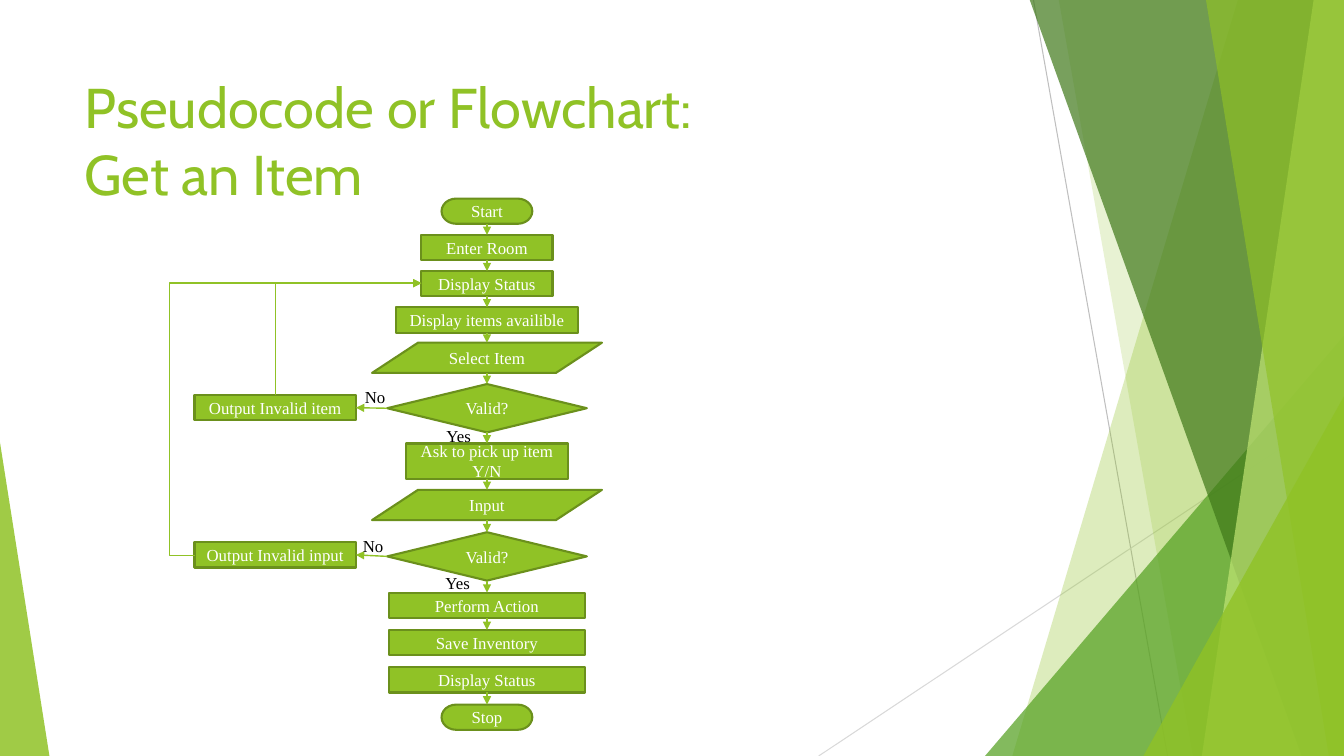
from itertools import pairwise

from lxml import etree
from pptx import Presentation
from pptx.dml.color import RGBColor
from pptx.enum.shapes import MSO_CONNECTOR, MSO_SHAPE
from pptx.enum.text import MSO_ANCHOR, PP_ALIGN
from pptx.oxml.ns import qn
from pptx.util import Inches, Pt

COLOURS = {
    "green": "90C226", "outline": "6B901C", "leaf": "54A021", "forest": "3F7819",
    "lime": "C0E474", "grey": "BFBFBF", "pale grey": "D9D9D9",
    "white": "FFFFFF", "black": "000000",
}
TOP, BOTTOM, RIGHT = -0.01, 7.5, 13.33
AXIS = 4.83  # centre of the main column
PROCESS = MSO_SHAPE.FLOWCHART_PROCESS
DECISION = MSO_SHAPE.FLOWCHART_DECISION
DATA = MSO_SHAPE.FLOWCHART_DATA
TERMINATOR = MSO_SHAPE.FLOWCHART_TERMINATOR

# shape, text, top, width, height
STEPS = [
    (TERMINATOR, "Start", 1.97, 0.9, 0.25),
    (PROCESS, "Enter Room", 2.33, 1.3, 0.25),
    (PROCESS, "Display Status", 2.69, 1.3, 0.25),
    (PROCESS, "Display items availible", 3.05, 1.81, 0.25),
    (DATA, "Select Item", 3.4, 2.28, 0.3),
    (DECISION, "Valid?", 3.81, 1.98, 0.48),
    (PROCESS, "Ask to pick up item Y/N", 4.4, 1.6, 0.35),
    (DATA, "Input", 4.86, 2.28, 0.3),
    (DECISION, "Valid?", 5.28, 1.98, 0.48),
    (PROCESS, "Perform Action", 5.88, 1.94, 0.25),
    (PROCESS, "Save Inventory", 6.25, 1.94, 0.25),
    (PROCESS, "Display Status", 6.62, 1.94, 0.25),
    (TERMINATOR, "Stop", 6.99, 0.9, 0.25),
]
STATUS, ITEM_CHECK, INPUT_CHECK, SAVE = 2, 5, 8, 10

LABELS = [("No", 3.5, 5.27), ("No", 3.52, 3.79), ("Yes", 4.33, 4.17), ("Yes", 4.32, 5.63)]


def rgb(name):
    return RGBColor.from_string(COLOURS[name])


def style_font(para, face, size, colour):
    para.font.name = face
    para.font.size = Pt(size)
    para.font.color.rgb = rgb(colour)


def fill_facet(shape, colour, opacity):
    """Give a background facet a see-through fill; opacity is in percent."""
    shape.shadow.inherit = False
    shape.fill.solid()
    shape.fill.fore_color.rgb = rgb(colour)
    shape.line.fill.background()
    tint = shape._element.spPr.find(qn("a:solidFill"))[0]
    etree.SubElement(tint, qn("a:alpha"), val=str(opacity * 1000))


def add_band(page, top_left, bottom_left, colour, opacity):
    """Add a facet that runs from a slanted left side to the slide's right edge."""
    builder = page.shapes.build_freeform(Inches(top_left), Inches(TOP))
    corners = [(RIGHT, TOP), (RIGHT, BOTTOM), (bottom_left, BOTTOM)]
    builder.add_line_segments([(Inches(x), Inches(y)) for x, y in corners])
    fill_facet(builder.convert_to_shape(), colour, opacity)


def add_corner(page, left, top, width, apex, colour, opacity):
    """Add a triangle that stands on the bottom edge; apex is 0 left to 1 right."""
    corner = page.shapes.add_shape(
        MSO_SHAPE.ISOSCELES_TRIANGLE,
        Inches(left), Inches(top), Inches(width), Inches(BOTTOM - top))
    corner.adjustments[0] = apex
    fill_facet(corner, colour, opacity)


def add_line(page, start, end, colour, width, kind=MSO_CONNECTOR.STRAIGHT):
    line = page.shapes.add_connector(kind, *(Inches(n) for n in (*start, *end)))
    line.line.color.rgb = rgb(colour)
    line.line.width = Pt(width)
    etree.SubElement(line._element.spPr, qn("a:effectLst"))
    return line


def add_arrow(page, start, end, kind=MSO_CONNECTOR.STRAIGHT):
    arrow = add_line(page, start, end, "green", 1, kind)
    etree.SubElement(arrow.line._get_or_add_ln(), qn("a:tailEnd"), type="triangle")
    return arrow


def link(page, source, source_side, target, target_side):
    """Join two boxes by a straight arrow; sides are 0 top, 1 left, 2 bottom, 3 right."""
    def side_point(box, side):
        across, down = [(0.5, 0), (0, 0.5), (0.5, 1), (1, 0.5)][side]
        return (box.left + box.width * across) / Inches(1), (box.top + box.height * down) / Inches(1)

    arrow = add_arrow(page, side_point(source, source_side), side_point(target, target_side))
    if source.auto_shape_type != DATA:
        arrow.begin_connect(source, source_side)
    if target.auto_shape_type != DATA:
        arrow.end_connect(target, target_side)


def add_step(page, kind, text, left, top, width, height):
    box = page.shapes.add_shape(kind, Inches(left), Inches(top), Inches(width), Inches(height))
    box.shadow.inherit = False
    box.fill.solid()
    box.fill.fore_color.rgb = rgb("green")
    box.line.color.rgb = rgb("outline")
    box.line.width = Pt(1.5)
    box.text_frame.vertical_anchor = MSO_ANCHOR.MIDDLE
    para = box.text_frame.paragraphs[0]
    para.text = text
    para.alignment = PP_ALIGN.CENTER
    style_font(para, "Times New Roman", 12, "white")
    return box


def add_text(page, text, left, top, width, height, face, size, colour):
    box = page.shapes.add_textbox(Inches(left), Inches(top), Inches(width), Inches(height))
    box.text_frame.word_wrap = True
    para = box.text_frame.paragraphs[0]
    para.text = text
    style_font(para, face, size, colour)


def draw_background(page):
    add_line(page, (10.25, 0), (11.58, BOTTOM), "grey", 0.75)
    add_line(page, (RIGHT, 4.03), (8.12, BOTTOM), "pale grey", 0.75)
    add_band(page, 12.28, 10.04, "green", 30)
    add_band(page, 10.5, 11.83, "green", 20)
    add_corner(page, 9.77, 3.33, 3.56, 1, "leaf", 72)
    add_band(page, 10.21, 12.91, "forest", 70)
    add_band(page, 13.03, 11.92, "lime", 70)
    add_band(page, 11.96, 13.18, "green", 65)
    add_corner(page, 11.34, 3.93, 1.99, 1, "green", 80)
    add_corner(page, 0, 4.39, 0.49, 0, "green", 85)


def draw_return_paths(page):
    """Lead both error boxes back to the first Display Status."""
    item_path = add_arrow(page, (4.01, 4.09), (2.9, 2.64), MSO_CONNECTOR.ELBOW)
    item_path._element.spPr.xfrm.set("rot", str(90 * 60000))
    item_path._element.spPr.prstGeom.set("prst", "bentConnector2")

    input_path = add_arrow(page, (1.93, 5.51), (4.18, 2.81), MSO_CONNECTOR.ELBOW)
    guides = input_path._element.spPr.prstGeom.get_or_add_avLst()
    etree.SubElement(guides, qn("a:gd"), name="adj1", fmla="val -11100")


def draw_flowchart(page):
    steps = [add_step(page, kind, text, AXIS - width / 2, top, width, height)
             for kind, text, top, width, height in STEPS]
    for number, (upper, lower) in enumerate(pairwise(steps)):
        if number != SAVE:
            link(page, upper, 2, lower, 0)

    errors = [("Output Invalid item", 3.92, ITEM_CHECK), ("Output Invalid input", 5.38, INPUT_CHECK)]
    for text, top, check in errors:
        error = add_step(page, PROCESS, text, 1.93, top, 1.6, 0.25)
        link(page, steps[check], 1, error, 3)
    draw_return_paths(page)

    for text, left, top in LABELS:
        add_text(page, text, left, top, 0.51, 0.3, "Times New Roman", 12, "black")


def main():
    deck = Presentation()
    deck.slide_width, deck.slide_height = Inches(RIGHT), Inches(BOTTOM)
    page = deck.slides.add_slide(deck.slide_layouts[6])
    draw_background(page)
    add_text(page, "Pseudocode or Flowchart: \vGet an Item",
             0.74, 0.67, 9.4, 1.44, "Cabin", 40, "green")
    draw_flowchart(page)
    deck.save("out.pptx")


if __name__ == "__main__":
    main()
